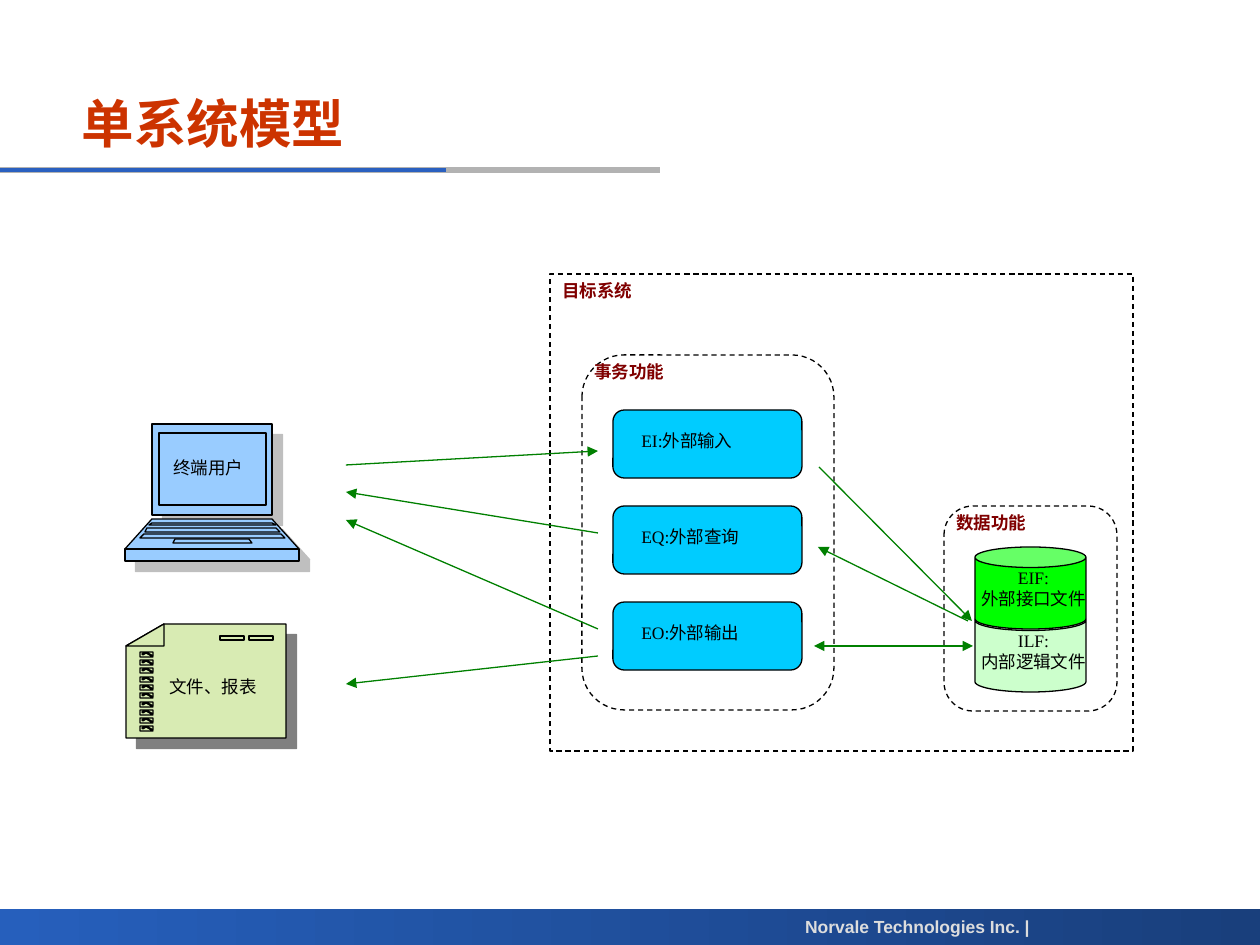
import lxml.etree
import pptx
import pptx.dml.color
import pptx.enum.dml
import pptx.enum.shapes
import pptx.enum.text
import pptx.oxml.ns
import pptx.util

PX = 914400 / 126
SHAPE = pptx.enum.shapes.MSO_SHAPE
ALIGN = pptx.enum.text.PP_ALIGN
SERIF = "Times New Roman"
qn = pptx.oxml.ns.qn


def emu(*nums):
    return [round(n * PX) for n in nums]


def hue(code):
    return pptx.dml.color.RGBColor.from_string(code)


def write(frame, lines, size=10, color="000000", bold=False, face=SERIF, align=ALIGN.JUSTIFY):
    frame.word_wrap = True
    for i, line in enumerate(lines):
        para = frame.paragraphs[0] if i == 0 else frame.add_paragraph()
        para.alignment = align
        run = para.add_run()
        run.text = line
        font = run.font
        font.name, font.size, font.bold = face, pptx.util.Pt(size), bold
        font.color.rgb = hue(color)


def label(slide, box, *lines, **style):
    write(slide.shapes.add_textbox(*emu(*box)).text_frame, lines, **style)


def paint(shape, fill=None, dash=False):
    shape.shadow.inherit = False
    if fill:
        shape.fill.solid()
        shape.fill.fore_color.rgb = hue(fill)
    else:
        shape.fill.background()
    shape.line.color.rgb = hue("000000")
    shape.line.width = pptx.util.Pt(0.75)
    if dash:
        shape.line.dash_style = pptx.enum.dml.MSO_LINE.DASH


def block(slide, kind, box, fill=None, dash=False):
    paint(slide.shapes.add_shape(kind, *emu(*box)), fill, dash)


def frame(slide, kind, box, name):
    x, y, w, h = box
    block(slide, kind, box, dash=True)
    label(slide, (x, y, min(w, 174), 41), name, color="800000", bold=True)


def rule(slide, start, end, color, width, ends=()):
    line = slide.shapes.add_connector(
        pptx.enum.shapes.MSO_CONNECTOR.STRAIGHT, *emu(*start, *end))
    line.line.color.rgb = hue(color)
    line.line.width = pptx.util.Pt(width)
    for end in ends:
        lxml.etree.SubElement(line.line._ln, qn("a:" + end), type="triangle")
    lxml.etree.SubElement(line._element.spPr, qn("a:effectLst"))


def outline(slide, box, parts, fill, shade):
    x, y = box[:2]
    pen = slide.shapes.build_freeform(*parts[0][0], scale=PX)
    for i, part in enumerate(parts):
        if i:
            pen.move_to(*part[0])
        pen.add_line_segments(part[1:], close=True)
    shape = pen.convert_to_shape(*emu(x, y))
    paint(shape, fill)
    props = shape._element.spPr
    first = props.find(".//" + qn("a:path"))
    host = first.getparent()
    steps = list(first)
    size = dict(first.attrib)
    host.remove(first)
    for step in steps:
        if step.tag == qn("a:moveTo"):
            piece = lxml.etree.SubElement(host, qn("a:path"), **size)
        piece.append(step)
    glow = lxml.etree.SubElement(
        props.find(qn("a:effectLst")), qn("a:outerShdw"),
        dist="107950", dir="2700000", algn="ctr", rotWithShape="0")
    tint = lxml.etree.SubElement(glow, qn("a:srgbClr"), val="808080")
    lxml.etree.SubElement(tint, qn("a:alpha"), val=str(shade * 1000))


def slope(left, right, top, low_left, low_right, base):
    return [(left, top), (low_left, base), (low_right, base), (right, top)]


def rect(left, top, right, base):
    return slope(left, right, top, left, right, base)


def head(slide, box):
    x, y, w, h = box
    title = slide.shapes.title
    title.left, title.top, title.width, title.height = emu(x + 69, y, w, h)
    title.text_frame.vertical_anchor = pptx.enum.text.MSO_ANCHOR.MIDDLE
    write(title.text_frame, ["单系统模型"], 30, "CC3300", True, "Arial", ALIGN.LEFT)
    for end, color, width in ((660, "B2B2B2", 3), (446, "2A60C0", 2.25)):
        rule(slide, (x, y + 89), (x + end, y + 89), color, width)


def foot(slide, box):
    x, y, w, h = box
    bar = slide.shapes.add_shape(SHAPE.RECTANGLE, *emu(*box))
    bar.shadow.inherit = False
    bar.line.fill.background()
    bar.fill.gradient()
    bar.fill.gradient_angle = 0
    for stop, color in zip(bar.fill.gradient_stops, ("265FBC", "193F7C")):
        stop.color.rgb = hue(color)
    label(slide, (x + 775, y + 1, 267, 34), "Norvale Technologies Inc. |",
          color="DDDDDD", bold=True, face="Arial", align=ALIGN.RIGHT)


def user(slide, box):
    x, y, w, h = box
    parts = [
        rect(27, 0, 147, 91),
        slope(27, 147, 95, 0, w, 125),
        rect(0, 125, w, h),
        rect(34, 9, 141, 81),
        slope(27, 147, 99, 24, 151, 101),
        slope(50, 124, 115, 48, 127, 119),
        slope(22, 151, 104, 20, 155, 108),
        slope(19, 156, 110, 15, 160, 114),
    ]
    outline(slide, box, parts, "99CCFF", 50)
    label(slide, (x + 36, y + 27, 142, 40), "终端用户")


def report(slide, box):
    x, y, w, h = box
    parts = [
        [(38, 0), (0, 22), (0, h), (w, h), (w, 0)],
        [(0, 22), (38, 22), (38, 0)],
        rect(94, 12, 118, 16),
        rect(123, 12, 147, 16),
    ]
    mark = [(14, 5), (27, 5), (20, 1), (17, 3), (16, 2), (20, 0), (27, 4), (27, 0), (14, 0)]
    for i in range(10):
        top = 28 + round(i * 8.25)
        parts.append([(px, top + py) for px, py in mark])
    outline(slide, box, parts, "D8EBB3", 100)
    label(slide, (x + 31, y + 46, 141, 40), "文件、报表")


def tasks(slide, box):
    x, y, w, h = box
    for i, name in enumerate(("EI:外部输入", "EQ:外部查询", "EO:外部输出")):
        top = y + 55 + 96 * i
        block(slide, SHAPE.FLOWCHART_ALTERNATE_PROCESS, (x + 31, top, 189, 68), "00CCFF")
        label(slide, (x + 47, top + 14, 141, 41), name)
    frame(slide, SHAPE.FLOWCHART_ALTERNATE_PROCESS, box, "事务功能")


def store(slide, box):
    x, y, w, h = box
    for drop, fill, lines in (
        (104, "CCFFCC", ("ILF:", "内部逻辑文件")),
        (41, "00FF00", ("EIF:", "外部接口文件")),
    ):
        block(slide, SHAPE.CAN, (x + 31, y + drop, 111, 82), fill)
        label(slide, (x + 16, y + drop + 14, 147, 68), *lines, align=ALIGN.CENTER)
    frame(slide, SHAPE.FLOWCHART_ALTERNATE_PROCESS, box, "数据功能")


def flows(slide):
    one, both = ("tailEnd",), ("headEnd", "tailEnd")
    for start, end, ends in (
        ((819, 467), (972, 621), one),
        ((968, 621), (818, 547), one),
        ((973, 646), (814, 646), both),
        ((346, 465), (598, 451), one),
        ((598, 533), (346, 492), one),
        ((598, 629), (346, 520), one),
        ((598, 656), (346, 684), one),
    ):
        rule(slide, start, end, "008000", 0.75, ends)


def main():
    deck = pptx.Presentation()
    deck.slide_width, deck.slide_height = emu(1260, 945)
    slide = deck.slides.add_slide(deck.slide_layouts[5])
    foot(slide, (0, 909, 1260, 36))
    head(slide, (0, 81, 872, 84))
    frame(slide, SHAPE.RECTANGLE, (550, 274, 583, 477), "目标系统")
    report(slide, (126, 624, 160, 114))
    user(slide, (125, 424, 174, 137))
    tasks(slide, (582, 355, 252, 355))
    store(slide, (944, 506, 173, 205))
    flows(slide)
    deck.save("out.pptx")


if __name__ == "__main__":
    main()
